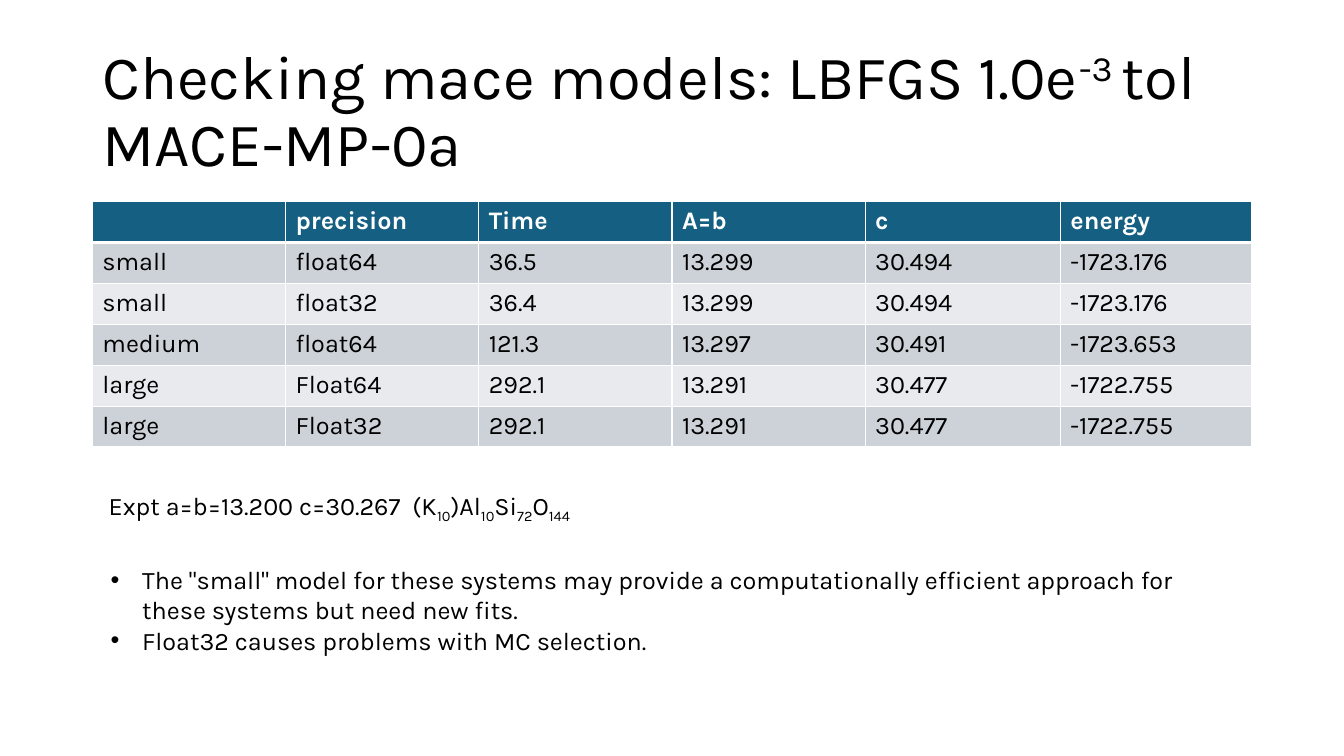
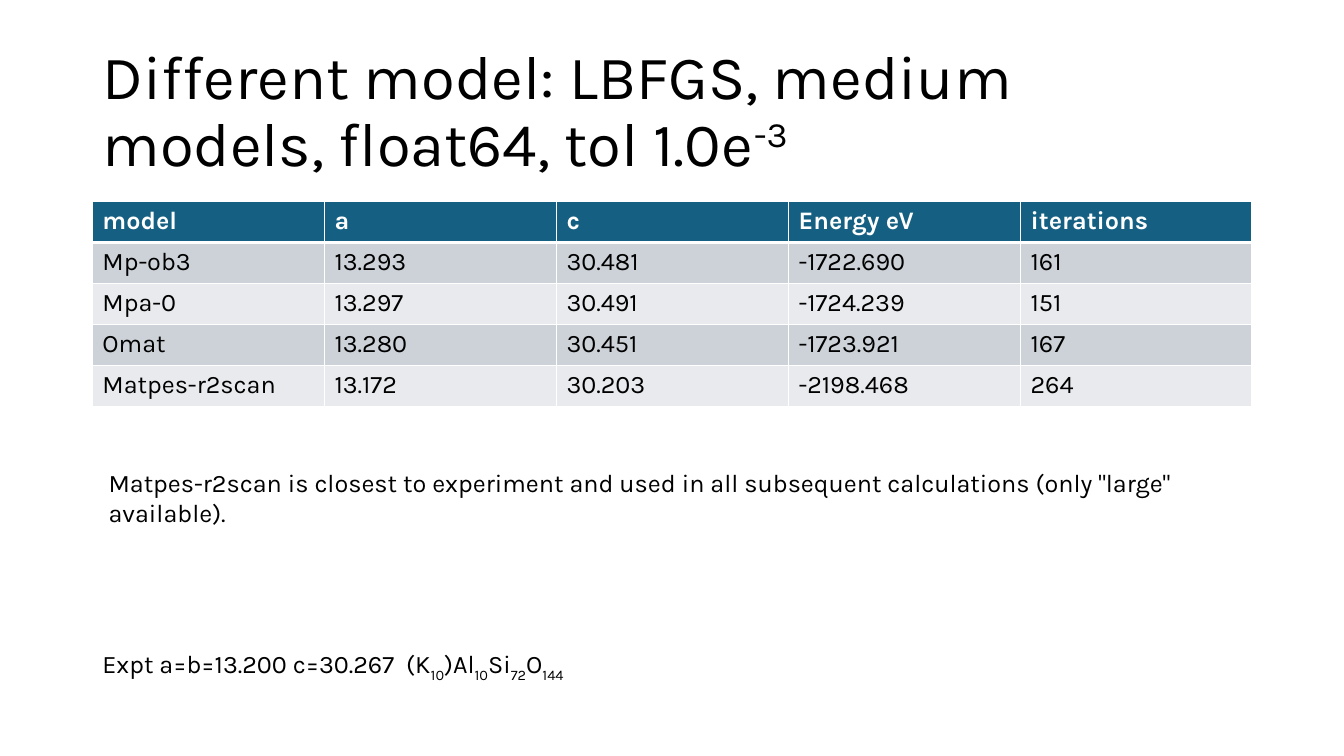
from dataclasses import dataclass

from lxml.etree import SubElement
from pptx import Presentation
from pptx.dml.color import RGBColor
from pptx.enum.text import MSO_ANCHOR, MSO_AUTO_SIZE, PP_ALIGN
from pptx.oxml.ns import qn
from pptx.util import Emu, Pt

FONT = "Karla"
COLORS = {
    "paper": "FFFFFF",
    "ink": "000000",
    "head": "156082",
    "odd": "CCD2D8",
    "even": "E8EAED",
}
TITLE_SIZE, BODY_SIZE = 44, 18
ROW = 39  # table row height in px
INDENT = 30  # hanging indent of bullets in px
SUPER, SUB = 30, -25  # baseline shifts in percent


@dataclass(frozen=True)
class Run:
    text: str
    base: int = 0


@dataclass(frozen=True)
class Box:
    left: int
    top: int
    width: int
    height: int


@dataclass(frozen=True)
class Note:
    box: Box
    paras: list[list[Run]]
    bullet: bool = False


@dataclass(frozen=True)
class Page:
    title: list[Run]
    cols: list[int]
    rows: list[list[str]]
    notes: list[Note]


TITLE = Box(88, 38, 1104, 139)
TABLE_LEFT, TABLE_TOP = 88, 192

FORMULA = [
    Run("Expt a=b=13.200 c=30.267  (K"), Run("10", SUB),
    Run(")Al"), Run("10", SUB),
    Run("Si"), Run("72", SUB),
    Run("O"), Run("144", SUB),
]

PAGES = [
    Page(
        [Run("Checking mace models: LBFGS 1.0e"), Run("-3 ", SUPER),
         Run("tol MACE-MP-0a")],
        [184, 184, 184, 184, 186, 182],
        [
            ["", "precision", "Time", "A=b", "c", "energy"],
            ["small", "float64", "36.5", "13.299", "30.494", "-1723.176"],
            ["small", "float32", "36.4", "13.299", "30.494", "-1723.176"],
            ["medium", "float64", "121.3", "13.297", "30.491", "-1723.653"],
            ["large", "Float64", "292.1", "13.291", "30.477", "-1722.755"],
            ["large", "Float32", "292.1", "13.291", "30.477", "-1722.755"],
        ],
        [
            Note(Box(94, 462, 1050, 38), [FORMULA]),
            Note(
                Box(96, 533, 1092, 97),
                [
                    [Run('The "small" model for these systems may provide '
                         "a computationally efficient approach for these "
                         "systems but need new fits.")],
                    [Run("Float32 causes problems with MC selection.")],
                ],
                bullet=True,
            ),
        ],
    ),
    Page(
        [Run("Different model: LBFGS, medium models, float64, tol 1.0e"),
         Run("-3", SUPER)],
        [221, 221, 221, 221, 220],
        [
            ["model", "a", "c", "Energy eV", "iterations"],
            ["Mp-ob3", "13.293", "30.481", "-1722.690", "161"],
            ["Mpa-0", "13.297", "30.491", "-1724.239", "151"],
            ["Omat", "13.280", "30.451", "-1723.921", "167"],
            ["Matpes-r2scan", "13.172", "30.203", "-2198.468", "264"],
        ],
        [
            Note(Box(88, 613, 1050, 38), [FORMULA]),
            Note(
                Box(94, 440, 1096, 38),
                [[Run("Matpes-r2scan is closest to experiment and used in all "
                      'subsequent calculations (only "large" available).')]],
            ),
        ],
    ),
]


def px(count: int) -> Emu:
    return Emu(count * 9525)


def place(box: Box) -> tuple[Emu, ...]:
    return px(box.left), px(box.top), px(box.width), px(box.height)


def color(name: str) -> RGBColor:
    return RGBColor.from_string(COLORS[name])


def write(para, runs: list[Run], size: int, ink: str = "ink",
          bold: bool = False) -> None:
    for part in runs:
        run = para.add_run()
        run.text = part.text
        font = run.font
        font.name, font.size, font.bold = FONT, Pt(size), bold
        font.color.rgb = color(ink)
        if part.base:
            run._r.get_or_add_rPr().set("baseline", str(part.base * 1000))


def add_bullet(para) -> None:
    props = para._p.get_or_add_pPr()
    props.set("marL", str(px(INDENT)))
    props.set("indent", str(-px(INDENT)))
    SubElement(props, qn("a:buFont")).set("typeface", "Arial")
    SubElement(props, qn("a:buChar")).set("char", "•")


def add_title(slide, runs: list[Run]) -> None:
    shape = slide.shapes.title
    shape.left, shape.top, shape.width, shape.height = place(TITLE)
    frame = shape.text_frame
    frame.word_wrap = True
    frame.auto_size = MSO_AUTO_SIZE.NONE
    frame.vertical_anchor = MSO_ANCHOR.MIDDLE
    para = frame.paragraphs[0]
    para.alignment = PP_ALIGN.LEFT
    para.line_spacing = 0.9
    write(para, runs, TITLE_SIZE)


def add_edges(cell, widths: dict[str, int]) -> None:
    props = cell._tc.get_or_add_tcPr()
    for side, width in widths.items():
        line = SubElement(props, qn(f"a:ln{side}"), w=str(Pt(width)))
        fill = SubElement(line, qn("a:solidFill"))
        SubElement(fill, qn("a:srgbClr"), val=COLORS["paper"])


def add_grid(slide, cols: list[int], rows: list[list[str]]) -> None:
    box = Box(TABLE_LEFT, TABLE_TOP, sum(cols), ROW * len(rows))
    table = slide.shapes.add_table(len(rows), len(cols), *place(box)).table
    table.horz_banding = False
    for col, width in zip(table.columns, cols):
        col.width = px(width)
    for r, texts in enumerate(rows):
        table.rows[r].height = px(ROW)
        head = r == 0
        fill = "head" if head else "odd" if r % 2 else "even"
        # The rule under the header is heavier than the others
        edges = {"L": 1, "R": 1, "T": 3 if r == 1 else 1, "B": 3 if head else 1}
        for c, text in enumerate(texts):
            cell = table.cell(r, c)
            add_edges(cell, edges)
            cell.fill.solid()
            cell.fill.fore_color.rgb = color(fill)
            if text:
                write(cell.text_frame.paragraphs[0], [Run(text)], BODY_SIZE,
                      "paper" if head else "ink", head)


def add_note(slide, note: Note) -> None:
    frame = slide.shapes.add_textbox(*place(note.box)).text_frame
    frame.word_wrap = True
    frame.auto_size = MSO_AUTO_SIZE.SHAPE_TO_FIT_TEXT
    for i, runs in enumerate(note.paras):
        para = frame.add_paragraph() if i else frame.paragraphs[0]
        if note.bullet:
            add_bullet(para)
        write(para, runs, BODY_SIZE)


def main() -> None:
    deck = Presentation()
    deck.slide_width, deck.slide_height = px(1280), px(720)
    layout = deck.slide_layouts.get_by_name("Title Only")
    for page in PAGES:
        slide = deck.slides.add_slide(layout)
        add_title(slide, page.title)
        add_grid(slide, page.cols, page.rows)
        for note in page.notes:
            add_note(slide, note)
    deck.save("out.pptx")


if __name__ == "__main__":
    main()
